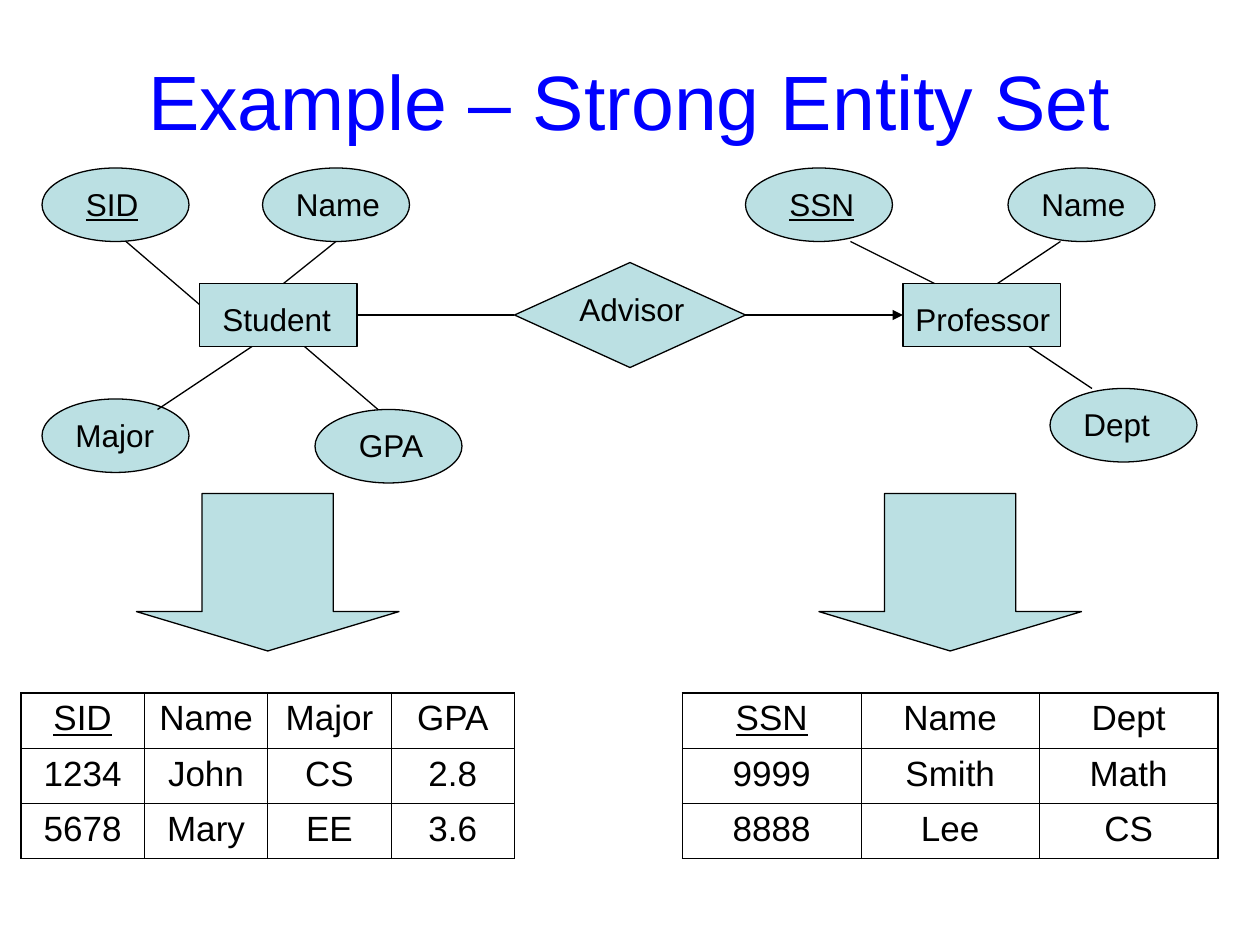
from lxml.etree import SubElement
from pptx import Presentation
from pptx.dml.color import RGBColor
from pptx.enum.shapes import MSO_CONNECTOR, MSO_SHAPE
from pptx.enum.text import MSO_ANCHOR, MSO_AUTO_SIZE, PP_ALIGN
from pptx.oxml.ns import qn
from pptx.util import Inches, Pt

UNIT = Inches(1) // 12
COLUMNS, ROWS = 120, 90
BLACK, WHITE, BLUE, TEAL = "000000", "FFFFFF", "0000FF", "BBE0E3"
ENTITY_SIZE = (15, 6)
ATTRIBUTE_SIZE = (14, 7)
ARROW_SIZE = (25, 15)
LABEL_HEIGHT = 4.8
TABLE_ROW = 5.25
OUTER, INNER = 1.08, 0.45


def color(value):
    return RGBColor.from_string(value)


def grid(*values):
    return [round(value * UNIT) for value in values]


def write(frame, text, size, fill=BLACK, underline=False, align=PP_ALIGN.LEFT):
    paragraph = frame.paragraphs[0]
    paragraph.alignment = align
    run = paragraph.add_run()
    run.text = text
    run.font.name = "Arial"
    run.font.size = Pt(size)
    run.font.underline = underline
    run.font.color.rgb = color(fill)


def add_label(slide, left, top, width, text, underline=False):
    frame = slide.shapes.add_textbox(*grid(left, top, width, LABEL_HEIGHT)).text_frame
    frame.word_wrap = True
    frame.auto_size = MSO_AUTO_SIZE.SHAPE_TO_FIT_TEXT
    write(frame, text, 18, underline=underline)


def add_block(slide, kind, left, top, size):
    shape = slide.shapes.add_shape(kind, *grid(left, top, *size))
    shape.shadow.inherit = False
    shape.fill.solid()
    shape.fill.fore_color.rgb = color(TEAL)
    shape.line.color.rgb = color(BLACK)
    shape.line.width = Pt(0.75)
    return shape


def add_line(slide, start=(0, 0), end=(0, 0)):
    line = slide.shapes.add_connector(MSO_CONNECTOR.STRAIGHT, *grid(*start, *end))
    line.line.color.rgb = color(BLACK)
    line.line.width = Pt(0.75)
    SubElement(line._element.spPr, qn("a:effectLst"))
    return line


def join(slide, first, second, arrow=False):
    line = add_line(slide)
    line.begin_connect(first, 3)
    line.end_connect(second, 1)
    if arrow:
        SubElement(line.line._get_or_add_ln(), qn("a:tailEnd"), type="triangle")


def add_title(slide, left, top, width, height):
    frame = slide.shapes.add_textbox(*grid(left, top, width, height)).text_frame
    frame.word_wrap = True
    frame.vertical_anchor = MSO_ANCHOR.MIDDLE
    write(frame, "Example – Strong Entity Set", 44, BLUE, align=PP_ALIGN.CENTER)


def add_border(cell, side, width):
    line = SubElement(cell._tc.get_or_add_tcPr(), qn(f"a:ln{side}"), w=str(Pt(width)))
    fill = SubElement(line, qn("a:solidFill"))
    SubElement(fill, qn("a:srgbClr"), val=BLACK)


def add_relation_table(slide, left, top, width, records):
    row_count, column_count = len(records), len(records[0])
    table = slide.shapes.add_table(
        row_count, column_count, *grid(left, top, width, TABLE_ROW * row_count)
    ).table
    table.first_row = table.horz_banding = False
    for column in table.columns:
        column.width = round(width * UNIT / column_count)
    for r, record in enumerate(records):
        for c, text in enumerate(record):
            cell = table.cell(r, c)
            edges = {
                "L": c == 0,
                "R": c == column_count - 1,
                "T": r == 0,
                "B": r == row_count - 1,
            }
            for side, is_outer in edges.items():
                add_border(cell, side, OUTER if is_outer else INNER)
            cell.fill.solid()
            cell.fill.fore_color.rgb = color(WHITE)
            write(cell.text_frame, text, 20, underline=r == c == 0, align=PP_ALIGN.CENTER)


def add_entity_set(slide, left, top, width, name, entity, label, attributes, links, records):
    entity_left, entity_top = left + entity[0], top + entity[1]
    rectangle = add_block(slide, MSO_SHAPE.RECTANGLE, entity_left, entity_top, ENTITY_SIZE)
    add_label(slide, entity_left + label[0], entity_top + 1, label[1], name)
    for index, (text, x, y, inset, label_width) in enumerate(attributes):
        add_block(slide, MSO_SHAPE.OVAL, left + x, top + y, ATTRIBUTE_SIZE)
        add_label(slide, left + x + inset, top + y + 1, label_width, text, index == 0)
    for x1, y1, x2, y2 in links:
        add_line(slide, (left + x1, top + y1), (left + x2, top + y2))
    arrow_left = left + (width - ARROW_SIZE[0]) / 2
    arrow = add_block(slide, MSO_SHAPE.DOWN_ARROW, arrow_left, top + 31, ARROW_SIZE)
    arrow.adjustments[0], arrow.adjustments[1] = 0.5, 0.25
    add_relation_table(slide, left, top + 50, width, records)
    return rectangle


def add_relationship(slide, left, top, width, height, name, source, target):
    diamond = add_block(slide, MSO_SHAPE.FLOWCHART_DECISION, left, top, (width, height))
    add_label(slide, left + 5, top + 2, 13, name)
    join(slide, source, diamond)
    join(slide, diamond, target, arrow=True)


def main():
    presentation = Presentation()
    presentation.slide_width, presentation.slide_height = grid(COLUMNS, ROWS)
    slide = presentation.slides.add_slide(presentation.slide_layouts[6])
    add_title(slide, 6, 2, 108, 15)
    student = add_entity_set(
        slide, 2, 16, 47, "Student", (17, 11), (1, 13),
        [("SID", 2, 0, 3, 10), ("Name", 23, 0, 2, 11),
         ("Major", 2, 22, 2, 10), ("GPA", 28, 23, 3, 9)],
        [(10, 7, 17, 13), (30, 7, 25, 11), (34, 23, 27, 17), (13, 23, 22, 17)],
        [("SID", "Name", "Major", "GPA"),
         ("1234", "John", "CS", "2.8"),
         ("5678", "Mary", "EE", "3.6")],
    )
    professor = add_entity_set(
        slide, 65, 16, 51, "Professor", (21, 11), (0, 16),
        [("SSN", 6, 0, 3, 10), ("Name", 31, 0, 2, 11), ("Dept", 35, 21, 2, 10)],
        [(16, 7, 24, 11), (36, 7, 30, 11), (39, 21, 33, 17)],
        [("SSN", "Name", "Dept"),
         ("9999", "Smith", "Math"),
         ("8888", "Lee", "CS")],
    )
    add_relationship(slide, 49, 25, 22, 10, "Advisor", student, professor)
    presentation.save("out.pptx")


if __name__ == "__main__":
    main()
